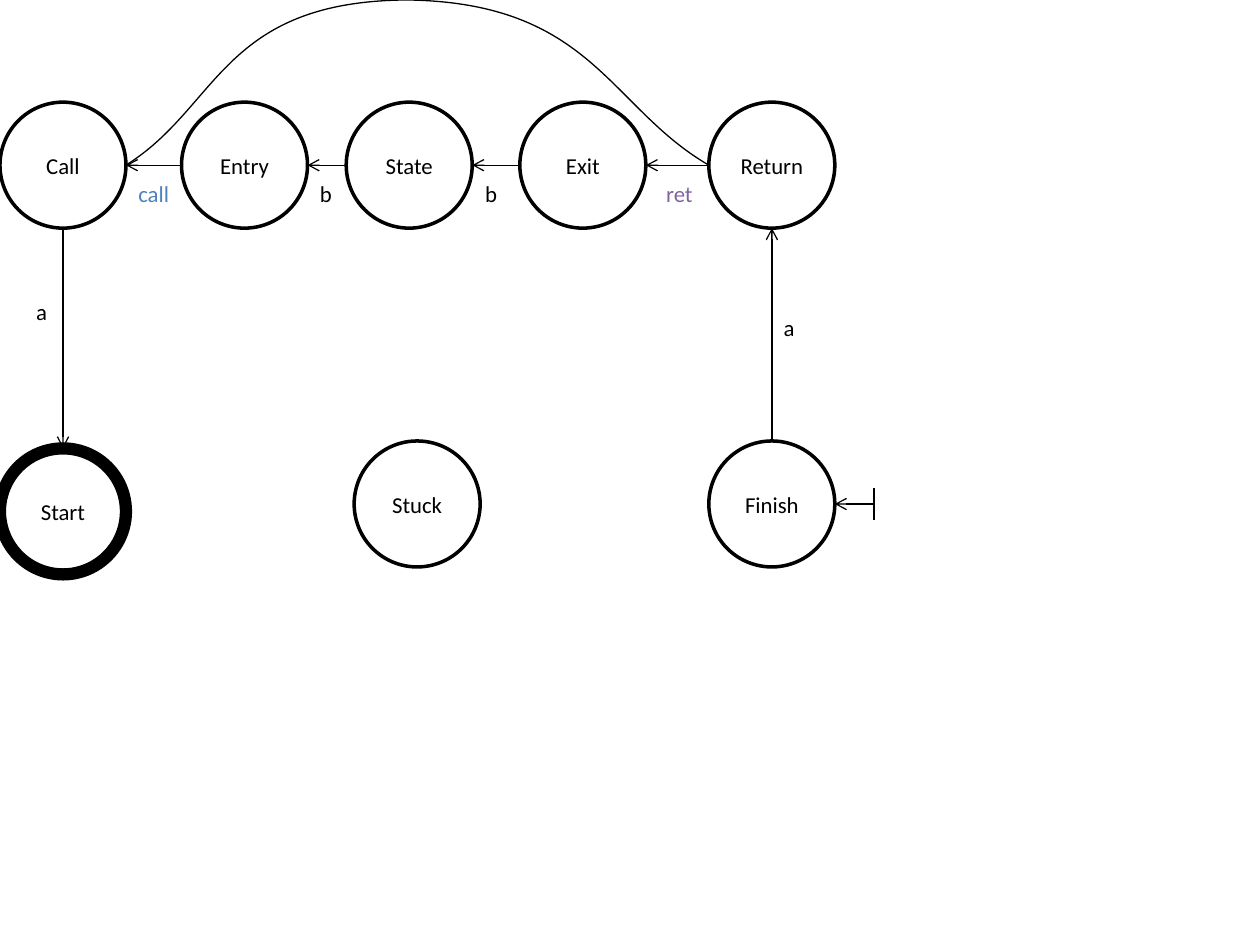
from itertools import pairwise

from lxml import etree
from pptx import Presentation
from pptx import util as u
from pptx.dml.color import RGBColor
from pptx.enum import shapes, text
from pptx.oxml.ns import qn

COLORS = {"ink": "000000", "paper": "FFFFFF", "call": "4F81BD", "ret": "8064A2"}
SIZE = 2.54
RADIUS = SIZE / 2
TOP_ROW, BOTTOM_ROW, START_TOP = 2.06, 8.89, 9.04


def write(frame, wording, color="ink", align=text.PP_ALIGN.LEFT, font="Calibri", size=13):
    """Put one formatted line of text into a text frame."""
    para = frame.paragraphs[0]
    para.alignment = align
    span = para.add_run()
    span.text = wording
    span.font.name = font
    span.font.size = u.Pt(size)
    span.font.color.rgb = RGBColor.from_string(COLORS[color])


class Diagram:
    """Draws the elements of a state diagram on one slide."""

    def __init__(self, page):
        self.page = page

    def outline(self, item, width):
        """Set a solid ink line."""
        item.line.color.rgb = RGBColor.from_string(COLORS["ink"])
        item.line.width = u.Pt(width)

    def state(self, name, left, top, width=2):
        """Add a round state with a centred name."""
        circle = self.page.shapes.add_shape(
            shapes.MSO_SHAPE.FLOWCHART_CONNECTOR,
            u.Cm(left), u.Cm(top), u.Cm(SIZE), u.Cm(SIZE))
        circle.shadow.inherit = False
        circle.fill.solid()
        circle.fill.fore_color.rgb = RGBColor.from_string(COLORS["paper"])
        self.outline(circle, width)
        frame = circle.text_frame
        frame.margin_left = frame.margin_right = 0
        frame.vertical_anchor = text.MSO_ANCHOR.MIDDLE
        write(frame, name, align=text.PP_ALIGN.CENTER)

    def line(self, start, end, arrow=True):
        """Add a straight line, with an open arrowhead at its end if wanted."""
        line = self.page.shapes.add_connector(
            shapes.MSO_CONNECTOR.STRAIGHT, *(u.Cm(value) for value in (*start, *end)))
        self.outline(line, 0.75)
        properties = line._element.spPr
        if arrow:
            etree.SubElement(properties.find(qn("a:ln")), qn("a:tailEnd"), type="arrow")
        etree.SubElement(properties, qn("a:effectLst"))

    def curve(self, *points):
        """Add an open curve; after the start, three points make one Bezier segment."""
        start, *rest = [(u.Cm(x), u.Cm(y)) for x, y in points]
        builder = self.page.shapes.build_freeform(*start)
        builder.add_line_segments(rest, close=False)
        arc = builder.convert_to_shape()
        arc.shadow.inherit = False
        arc.fill.background()
        self.outline(arc, 0.75)
        steps = list(arc._element.iter(qn("a:lnTo")))
        for first in range(0, len(steps), 3):
            bezier = etree.Element(qn("a:cubicBezTo"))
            steps[first].addprevious(bezier)
            for step in steps[first:first + 3]:
                bezier.append(step[0])
                step.getparent().remove(step)

    def label(self, wording, left, top, width, color="ink"):
        """Add a transition label."""
        box = self.page.shapes.add_textbox(u.Cm(left), u.Cm(top), u.Cm(width), u.Cm(0.81))
        box.text_frame.word_wrap = False
        write(box.text_frame, wording, color=color)


deck = Presentation()
deck.slide_width, deck.slide_height = u.Cm(25.4), u.Cm(19.05)
diagram = Diagram(deck.slides.add_slide(deck.slide_layouts[6]))

upper_states = {"Call": 0, "Entry": 3.66, "State": 6.98, "Exit": 10.48, "Return": 14.29}
return_left = upper_states["Return"]
return_center = return_left + RADIUS
middle = TOP_ROW + RADIUS

for name, left in upper_states.items():
    diagram.state(name, left, TOP_ROW)
diagram.state("Start", 0, START_TOP, width=7)
diagram.state("Stuck", 7.14, BOTTOM_ROW)
diagram.state("Finish", return_left, BOTTOM_ROW)

for left, right in pairwise(upper_states.values()):
    diagram.line((right, middle), (left + SIZE, middle))
diagram.line((RADIUS, TOP_ROW + SIZE), (RADIUS, START_TOP))
diagram.line((return_center, BOTTOM_ROW), (return_center, TOP_ROW + SIZE))

diagram.curve((SIZE, middle), (4.42, 2.16), (4.47, 0.03), (8.2, 0),
              (11.94, 0.05), (12.27, 2.16), (return_left, middle))

entry_x, entry_y = 17.62, BOTTOM_ROW + RADIUS
diagram.line((entry_x, entry_y), (return_left + SIZE, entry_y))
diagram.line((entry_x, entry_y - 0.32), (entry_x, entry_y + 0.32), arrow=False)

for wording, left, top, width, color in (
        ("call", 2.54, 3.5, 1.14, "call"),
        ("b", 6.2, 3.5, 0.76, "ink"),
        ("b", 9.53, 3.5, 0.76, "ink"),
        ("ret", 13.18, 3.5, 1.04, "ret"),
        ("a", 0.48, 5.87, 0.74, "ink"),
        ("a", 15.55, 6.2, 0.74, "ink")):
    diagram.label(wording, left, top, width, color)

deck.save("out.pptx")
